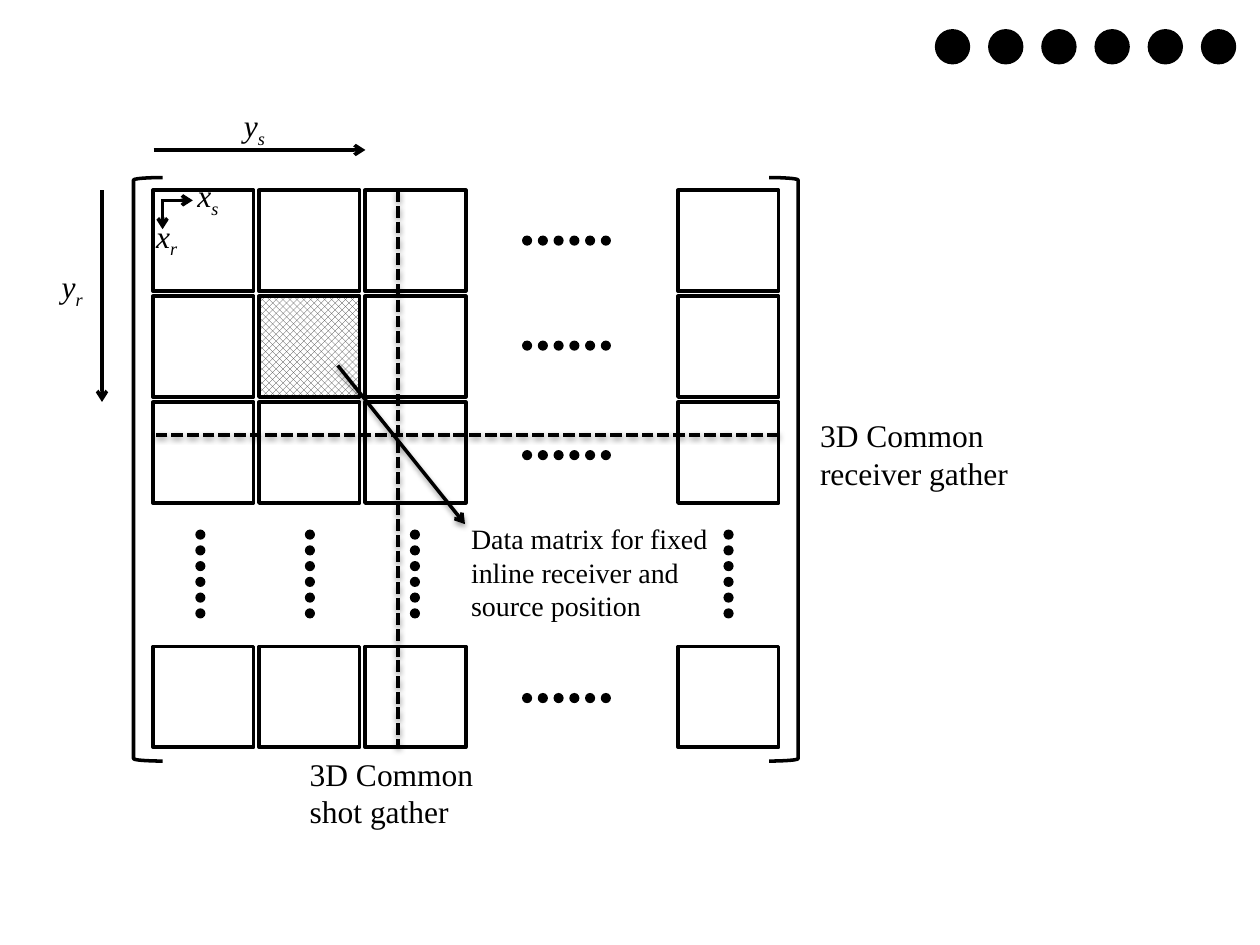
from itertools import product

from lxml.etree import SubElement
from pptx import Presentation
from pptx.dml.color import RGBColor
from pptx.enum.dml import MSO_LINE as Dash, MSO_PATTERN as Pattern
from pptx.enum.shapes import MSO_CONNECTOR as Connector, MSO_SHAPE as Shape
from pptx.enum.text import MSO_AUTO_SIZE as AutoSize, PP_ALIGN as Align
from pptx.oxml.ns import qn
from pptx.util import Pt

THEME = {
    "ink": RGBColor(0, 0, 0),
    "paper": RGBColor(255, 255, 255),
    "hatch": RGBColor(0x40, 0x40, 0x40),
    "font": "Times New Roman",
    "label": 18,
    "note": 16,
    "line": 2,
    "dash": 2.25,
}

# Content: labels as (left, top, width, height, size, lines)
LABELS = [
    (262.1, 294.5, 166.3, 65.5, "note",
     ["Data matrix for fixed inline receiver and source position"]),
    (169.9, 427.7, 115.2, 51, "label", ["3D Common", "shot gather"]),
    (461.5, 234, 123.1, 51, "label", ["3D Common", "receiver gather"]),
]
# Axis symbols as (letter, subscript, left, top, alignment)
AXIS_SYMBOLS = [
    ("y", "s", 116.6, 56.9, Align.CENTER),
    ("y", "r", 28.1, 149, Align.LEFT),
    ("x", "s", 105.8, 97.2, Align.LEFT),
    ("x", "r", 82.1, 120.2, Align.LEFT),
]
# Arrows and gather lines as (x1, y1, x2, y2)
AXIS_ARROWS = [
    (87.8, 85.7, 208.8, 85.7),
    (58.3, 108.7, 58.3, 229.7),
    (92.9, 114.5, 110.2, 114.5),
    (92.9, 113.8, 92.9, 131),
]
MATRIX_POINTER = (193, 208.8, 265.7, 299.5)
GATHER_LINES = [(227.5, 108.7, 227.5, 427), (445, 248.4, 87.8, 248.4)]

# Matrix of blocks: three close columns and rows, then the last one
BLOCK, PITCH = 57.6, 60.6
COLUMNS = [87.4 + PITCH * i for i in range(3)] + [387.4]
ROWS = [108.7 + PITCH * i for i in range(3)] + [369.4]
HATCHED = (1, 1)
BRACKET_TOP, BRACKET_WIDTH, BRACKET_HEIGHT = 101.5, 16.6, 333.4
BRACKETS = [(76.3, False), (439.5, True)]

# Runs of six dots
DOTS, DOT, DOT_PITCH = 6, 5.8, 9
ROW_DOTS_LEFT, ROW_DOTS_TOPS = 298.3, [134.6, 194.6, 257.2, 396]
COLUMN_DOTS_TOP, COLUMN_DOTS_LEFTS = 302.6, [111.6, 174.2, 234.2, 413.4]
HEADER_LEFT, HEADER_TOP, HEADER_DOT, HEADER_PITCH = 534.2, 16.6, 20.2, 30.4

deck = Presentation()
deck.slide_width, deck.slide_height = Pt(720), Pt(540)
slide = deck.slides.add_slide(deck.slide_layouts[6])


def add_outline(preset, left, top, width, height):
    outline = slide.shapes.add_shape(preset, Pt(left), Pt(top), Pt(width), Pt(height))
    outline.shadow.inherit = False
    outline.fill.background()
    outline.line.color.rgb = THEME["ink"]
    outline.line.width = Pt(THEME["line"])
    return outline


def add_dots(left, top, size, step_x, step_y):
    run = slide.shapes.add_group_shape().shapes
    for i in range(DOTS):
        dot = run.add_shape(Shape.OVAL, Pt(left + i * step_x), Pt(top + i * step_y),
                            Pt(size), Pt(size))
        dot.shadow.inherit = False
        dot.fill.solid()
        dot.fill.fore_color.rgb = THEME["ink"]
        dot.line.fill.background()


def add_line(ends, width, arrow=False, dashed=False, shadow=False):
    line = slide.shapes.add_connector(Connector.STRAIGHT, *map(Pt, ends))
    line.line.color.rgb = THEME["ink"]
    line.line.width = Pt(width)
    if dashed:
        line.line.dash_style = Dash.SQUARE_DOT
    properties = line._element.spPr
    if arrow:
        SubElement(properties.find(qn("a:ln")), qn("a:tailEnd"), type="arrow")
    effects = SubElement(properties, qn("a:effectLst"))
    if shadow:
        cast = SubElement(effects, qn("a:outerShdw"), blurRad="40000", dist="20000",
                          dir="5400000", rotWithShape="0")
        tone = SubElement(cast, qn("a:srgbClr"), val=str(THEME["ink"]))
        SubElement(tone, qn("a:alpha"), val="38000")


def add_text_frame(left, top, width, height):
    frame = slide.shapes.add_textbox(Pt(left), Pt(top), Pt(width), Pt(height)).text_frame
    frame.word_wrap = True
    frame.auto_size = AutoSize.SHAPE_TO_FIT_TEXT
    return frame


def add_run(paragraph, words, size, italic=False):
    run = paragraph.add_run()
    run.text = words
    run.font.name = THEME["font"]
    run.font.size = Pt(THEME[size])
    run.font.color.rgb = THEME["ink"]
    if italic:
        run.font.italic = True
    return run


# Matrix brackets and blocks
for left, mirrored in BRACKETS:
    bracket = add_outline(Shape.LEFT_BRACKET, left, BRACKET_TOP,
                          BRACKET_WIDTH, BRACKET_HEIGHT)
    if mirrored:
        bracket._element.spPr.xfrm.set("flipH", "1")

for (c, left), (r, top) in product(enumerate(COLUMNS), enumerate(ROWS)):
    block = add_outline(Shape.RECTANGLE, left, top, BLOCK, BLOCK)
    if (c, r) == HATCHED:
        block.fill.patterned()
        block.fill.pattern = Pattern.SOLID_DIAMOND
        block.fill.fore_color.rgb = THEME["hatch"]
        block.fill.back_color.rgb = THEME["paper"]

# Dots: header, between columns, between rows
add_dots(HEADER_LEFT, HEADER_TOP, HEADER_DOT, HEADER_PITCH, 0)
for top in ROW_DOTS_TOPS:
    add_dots(ROW_DOTS_LEFT, top, DOT, DOT_PITCH, 0)
for left in COLUMN_DOTS_LEFTS:
    add_dots(left, COLUMN_DOTS_TOP, DOT, 0, DOT_PITCH)

# Arrows and gather lines
add_line(MATRIX_POINTER, THEME["line"], arrow=True, shadow=True)
for ends in AXIS_ARROWS:
    add_line(ends, THEME["line"], arrow=True)
for ends in GATHER_LINES:
    add_line(ends, THEME["dash"], dashed=True, shadow=True)

# Axis symbols with subscripts
for letter, subscript, left, top, alignment in AXIS_SYMBOLS:
    symbol = add_text_frame(left, top, 57.6, 29.1).paragraphs[0]
    symbol.alignment = alignment
    add_run(symbol, letter, "label", italic=True)
    lowered = add_run(symbol, subscript, "label", italic=True)
    lowered.font._element.set("baseline", "-25000")

# Labels
for left, top, width, height, size, lines in LABELS:
    frame = add_text_frame(left, top, width, height)
    for i, words in enumerate(lines):
        paragraph = frame.add_paragraph() if i else frame.paragraphs[0]
        add_run(paragraph, words, size)

deck.save("out.pptx")
